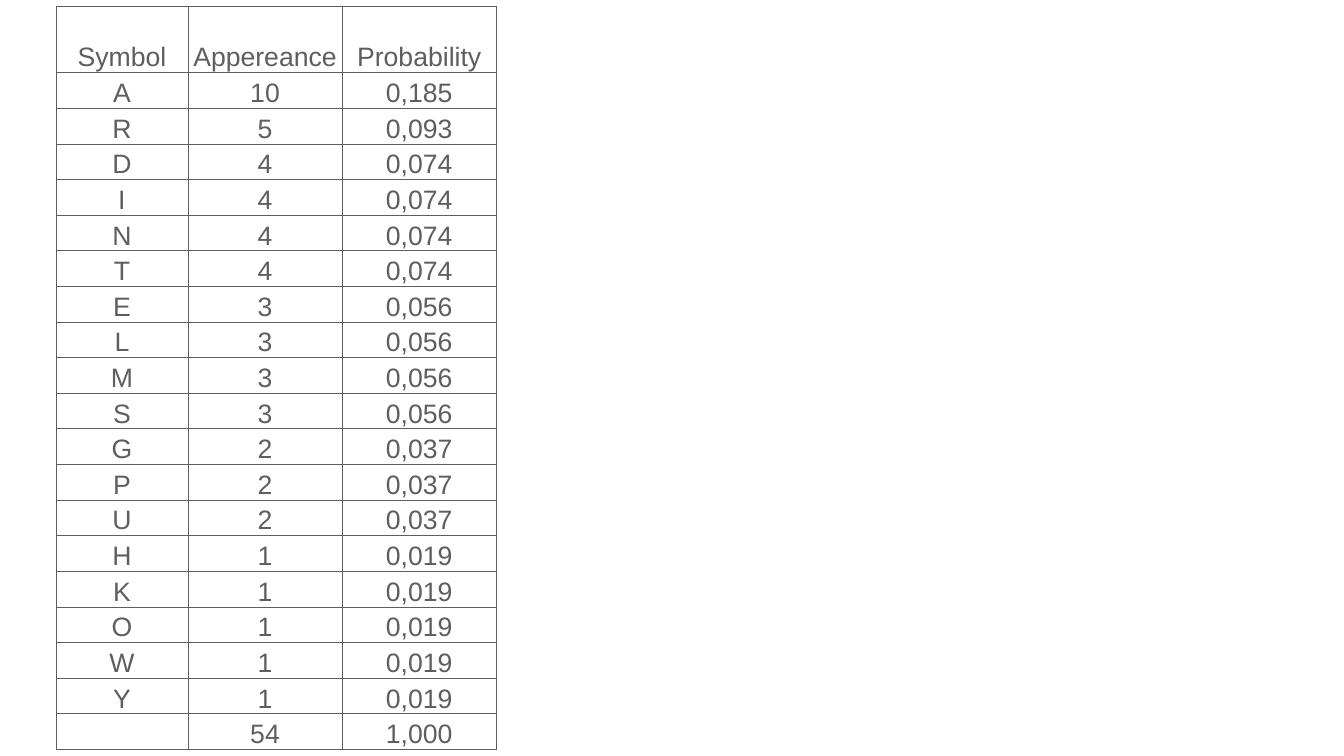
from lxml.etree import SubElement
from pptx import Presentation
from pptx.dml.color import RGBColor
from pptx.enum.text import MSO_ANCHOR, PP_ALIGN
from pptx.oxml.ns import qn
from pptx.util import Inches, Pt

WIDE, HIGH = 26.67, 15
HUES = {"ink": "5E5E5E", "paper": "FFFFFF"}
LEFT, TOP, TALL = 1.11, 0.12, 14.75
COLS = [2.62, 3.06, 3.06]
HEAD = 1.32
TITLES = ["Symbol", "Appereance", "Probability"]
COUNTS = {10: "A", 5: "R", 4: "DINT", 3: "ELMS", 2: "GPU", 1: "HKOWY"}
CELL = {
    "vertical_anchor": MSO_ANCHOR.BOTTOM,
    "margin_left": Inches(0.03),
    "margin_right": Inches(0.03),
    "margin_top": Inches(0.03),
    "margin_bottom": 0,
}
FONT = {"name": "Arial", "size": Pt(38), "bold": False}


def style(item, values):
    for key, value in values.items():
        setattr(item, key, value)


def share(part, total):
    return f"{part / total:.3f}".replace(".", ",")


def get_rows():
    pairs = [(sign, count) for count, signs in COUNTS.items() for sign in signs]
    total = sum(count for _, count in pairs)
    pairs.append(("", total))
    return [TITLES] + [[sign, str(n), share(n, total)] for sign, n in pairs]


def add_edges(cell):
    props = cell._tc.get_or_add_tcPr()
    for place, side in enumerate("LRTB"):
        edge = SubElement(props, qn(f"a:ln{side}"), w=str(Pt(1)))
        props.insert(place, edge)
        fill = SubElement(edge, qn("a:solidFill"))
        SubElement(fill, qn("a:srgbClr"), val=HUES["ink"])


def fill_cell(cell, text):
    style(cell, CELL)
    cell.fill.background()
    add_edges(cell)
    if text:
        para = cell.text_frame.paragraphs[0]
        para.alignment = PP_ALIGN.CENTER
        run = para.add_run()
        run.text = text
        style(run.font, FONT)
        run.font.color.rgb = RGBColor.from_string(HUES["ink"])


def add_grid(slide, rows):
    box = [Inches(n) for n in (LEFT, TOP, sum(COLS), TALL)]
    table = slide.shapes.add_table(len(rows), len(COLS), *box).table
    style(table, {"first_row": False, "horz_banding": False})
    for col, width in zip(table.columns, COLS):
        col.width = Inches(width)
    step = (TALL - HEAD) / (len(rows) - 1)
    for r, texts in enumerate(rows):
        table.rows[r].height = Inches(step if r else HEAD)
        for c, text in enumerate(texts):
            fill_cell(table.cell(r, c), text)


def main():
    deck = Presentation()
    style(deck, {"slide_width": Inches(WIDE), "slide_height": Inches(HIGH)})
    slide = deck.slides.add_slide(deck.slide_layouts[6])
    back = slide.background.fill
    back.solid()
    back.fore_color.rgb = RGBColor.from_string(HUES["paper"])
    add_grid(slide, get_rows())
    deck.save("out.pptx")


main()
